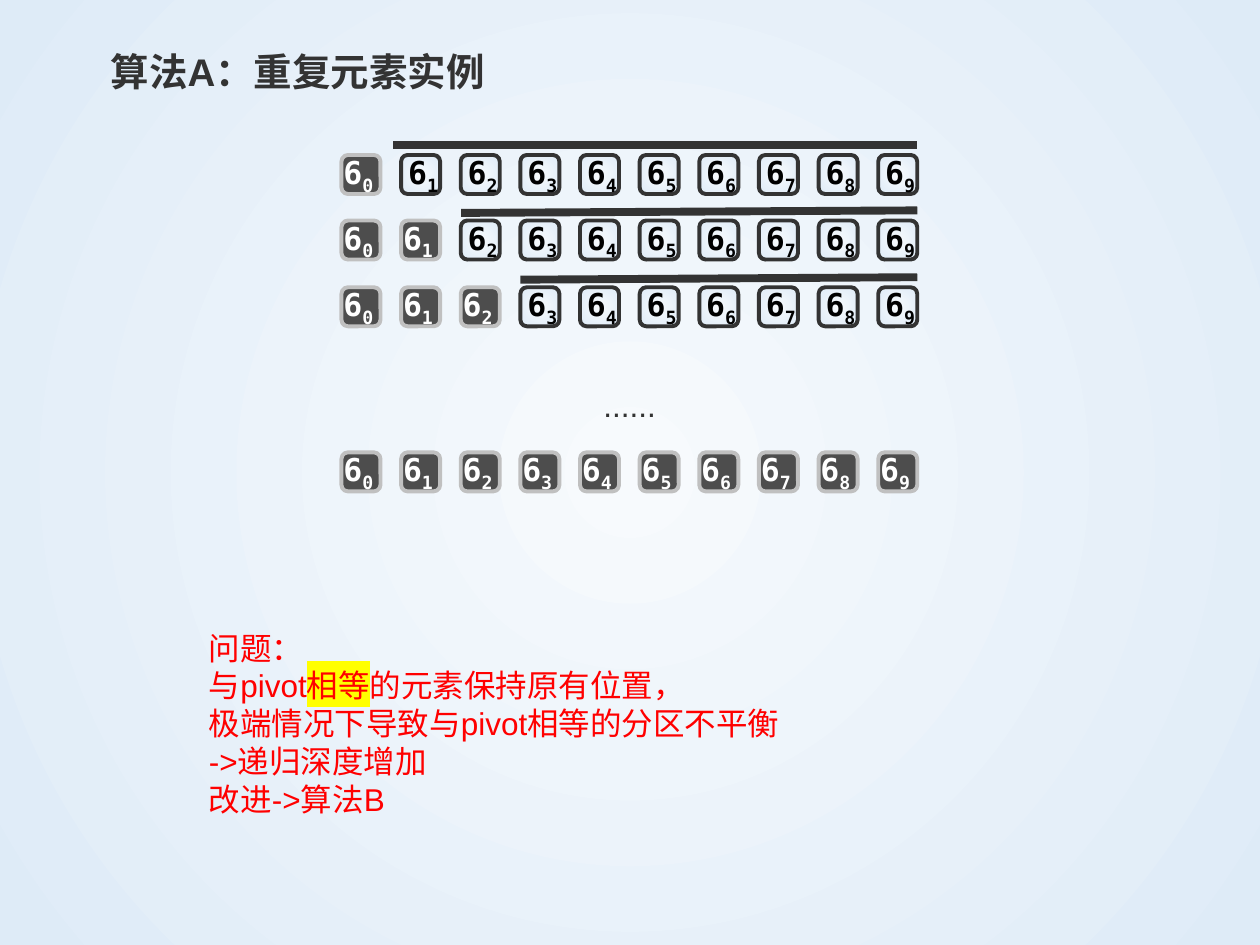
from lxml import etree
from pptx import Presentation
from pptx.dml.color import RGBColor
from pptx.enum.shapes import MSO_CONNECTOR, MSO_SHAPE
from pptx.enum.text import MSO_ANCHOR, PP_ALIGN
from pptx.oxml import parse_xml
from pptx.oxml.ns import nsdecls, qn
from pptx.util import Inches, Pt

ROUNDED = MSO_SHAPE.ROUNDED_RECTANGLE
STRAIGHT = MSO_CONNECTOR.STRAIGHT
MIDDLE = MSO_ANCHOR.MIDDLE
LEFT = PP_ALIGN.LEFT

INK = RGBColor(0x33, 0x33, 0x33)
BLACK = RGBColor(0x00, 0x00, 0x00)
WHITE = RGBColor(0xFF, 0xFF, 0xFF)
DARK_GRAY = RGBColor(0x4D, 0x4D, 0x4D)
SILVER = RGBColor(0xC0, 0xC0, 0xC0)
RED = RGBColor(0xFF, 0x00, 0x00)
YELLOW = RGBColor(0xFF, 0xFF, 0x00)
PALE = RGBColor(0xF7, 0xFA, 0xFD)
SKY = RGBColor(0xDE, 0xEB, 0xF7)


def make_radial(properties):
    """Replace the solid fill of a shape or background with the pale radial gradient."""
    gradient = parse_xml(
        f'<a:gradFill {nsdecls("a")} rotWithShape="1"><a:gsLst>'
        f'<a:gs pos="0"><a:srgbClr val="{PALE}"/></a:gs>'
        f'<a:gs pos="100000"><a:srgbClr val="{SKY}"/></a:gs></a:gsLst>'
        '<a:path path="circle"><a:fillToRect l="50000" t="50000" r="50000" b="50000"/>'
        '</a:path></a:gradFill>')
    properties.replace(properties.find(qn("a:solidFill")), gradient)


def add_run(paragraph, text, color, **font_values):
    run = paragraph.add_run()
    run.text = text
    run.font.color.rgb = color
    for name, value in font_values.items():
        setattr(run.font, name, value)
    return run


prs = Presentation()
prs.slide_width, prs.slide_height = Inches(10), Inches(7.5)
slide = prs.slides.add_slide(prs.slide_layouts[6])
shapes = slide.shapes
slide.background.fill.solid()
make_radial(slide.element.find(".//" + qn("p:bgPr")))

title = shapes.add_textbox(Inches(0.82), Inches(0.37), Inches(3.11), Inches(0.39)).text_frame
title_format = {
    "word_wrap": True, "vertical_anchor": MIDDLE,
    "margin_left": Inches(0.06), "margin_right": Inches(0.06),
    "margin_top": Inches(0.01), "margin_bottom": Inches(0.01),
}
for name, value in title_format.items():
    setattr(title, name, value)
add_run(title.paragraphs[0], "算法A：重复元素实例", INK, name="Arial", size=Pt(22), bold=True)

# Each step: top of the row, number of elements already placed
COUNT = 10
FIRST_X, LAST_X, CELL = 2.71, 6.97, 0.31
PITCH = (LAST_X - FIRST_X) / (COUNT - 1)
for top, placed_count in [(1.23, 1), (1.75, 2), (2.28, 3), (3.59, COUNT)]:
    for index in range(COUNT):
        placed = index < placed_count
        cell = shapes.add_shape(ROUNDED, Inches(FIRST_X + index * PITCH), Inches(top),
                                Inches(CELL), Inches(CELL))
        cell.shadow.inherit = False
        cell.fill.solid()
        cell.fill.fore_color.rgb = DARK_GRAY
        if not placed:
            make_radial(cell.element.spPr)
        cell.line.color.rgb = SILVER if placed else INK
        cell.line.width = Pt(2.25)
        side_margin = Inches(0 if placed else 0.04)
        cell_format = {
            "word_wrap": False, "vertical_anchor": MIDDLE,
            "margin_left": side_margin, "margin_right": side_margin,
            "margin_top": 0, "margin_bottom": 0,
        }
        for name, value in cell_format.items():
            setattr(cell.text_frame, name, value)
        label = cell.text_frame.paragraphs[0]
        label.alignment = LEFT
        digit_font = {"name": "DejaVu Sans Mono", "size": Pt(18), "bold": True}
        digit_color = WHITE if placed else BLACK
        add_run(label, "6", digit_color, **digit_font)
        subscript = add_run(label, str(index), digit_color, **digit_font)
        subscript.font._element.set("baseline", "-25000")

# Bars over the part still to be sorted
for start_x, start_y, end_y in [(3.12, 1.15, 1.15), (3.66, 1.69, 1.67), (4.13, 2.22, 2.2)]:
    bar = shapes.add_connector(STRAIGHT, Inches(start_x), Inches(start_y),
                               Inches(LAST_X + CELL), Inches(end_y))
    bar.line.color.rgb = INK
    bar.line.width = Pt(4.5)
    etree.SubElement(bar.element.spPr, qn("a:effectLst"))

ellipsis = shapes.add_textbox(Inches(4.69), Inches(2.79), Inches(0.62), Inches(0.63)).text_frame
ellipsis.word_wrap = False
ellipsis.paragraphs[0].line_spacing = 1.75
add_run(ellipsis.paragraphs[0], "......", INK, name="Arial", size=Pt(18))

problem = shapes.add_textbox(Inches(1.56), Inches(4.94), Inches(6.41), Inches(1.68)).text_frame
problem.word_wrap = True
body_font = {"name": "Arial", "size": Pt(18)}
opening = problem.paragraphs[0]
add_run(opening, "问题：", RED, **body_font)
opening.add_line_break()
add_run(opening, "与pivot", RED, **body_font)
equal = add_run(opening, "相等", RED, **body_font)
highlight = parse_xml(f'<a:highlight {nsdecls("a")}><a:srgbClr val="{YELLOW}"/></a:highlight>')
equal.font._element.find(qn("a:solidFill")).addnext(highlight)
add_run(opening, "的元素保持原有位置，", RED, **body_font)
opening.add_line_break()
add_run(opening, "极端情况下导致与pivot相等的分区不平衡", RED, **body_font)
for conclusion in ["->递归深度增加", "改进->算法B"]:
    add_run(problem.add_paragraph(), conclusion, RED, **body_font)

prs.save("out.pptx")
